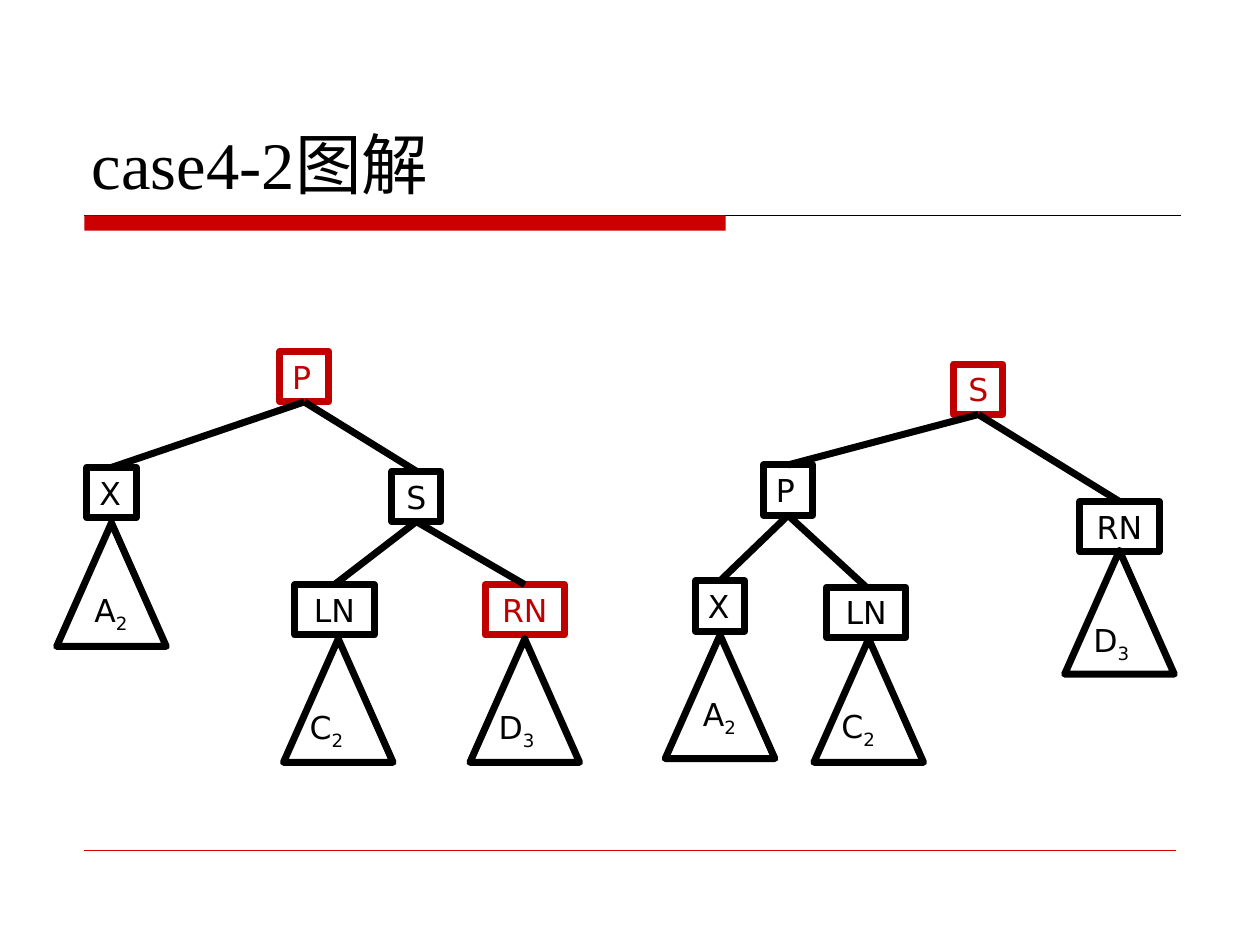
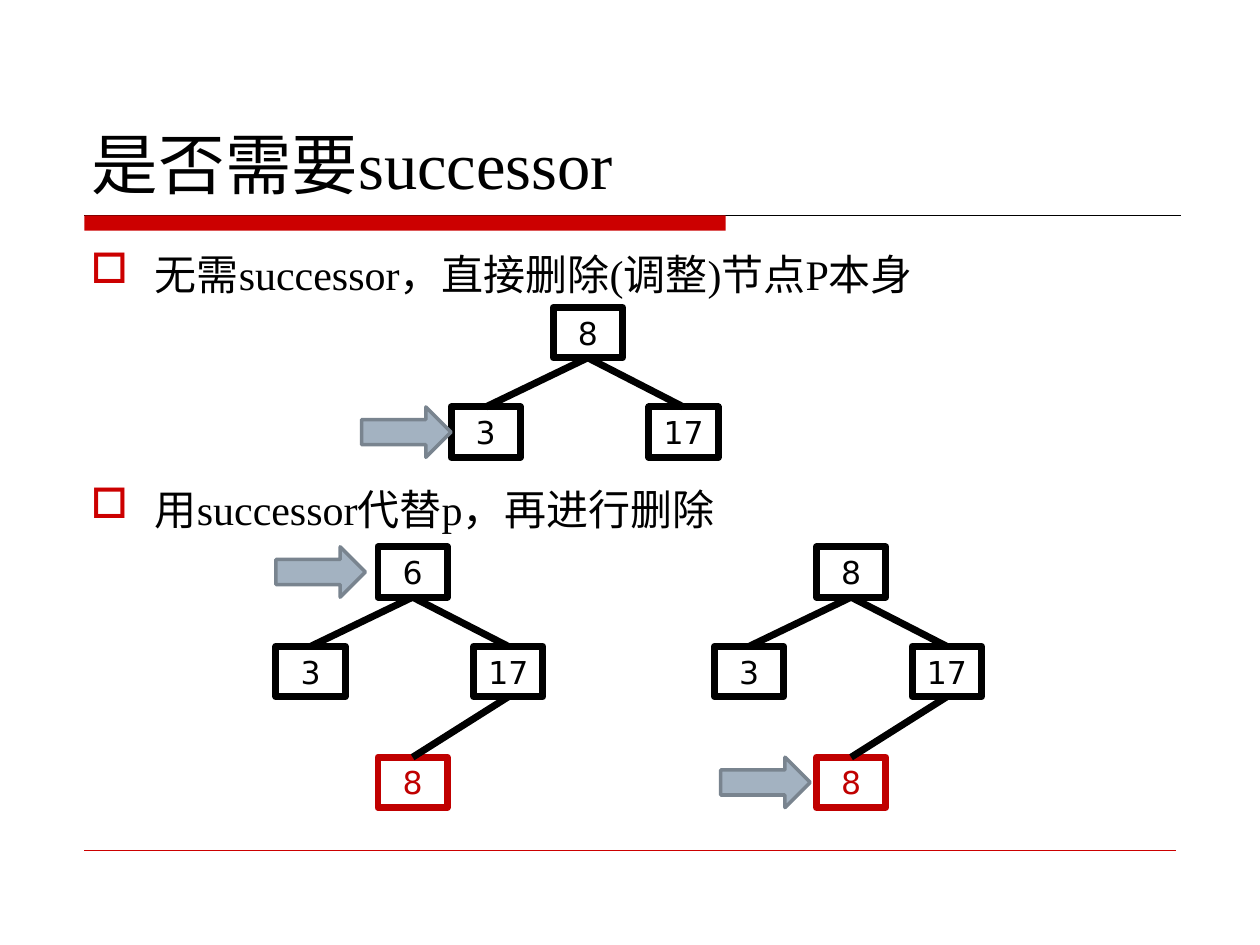
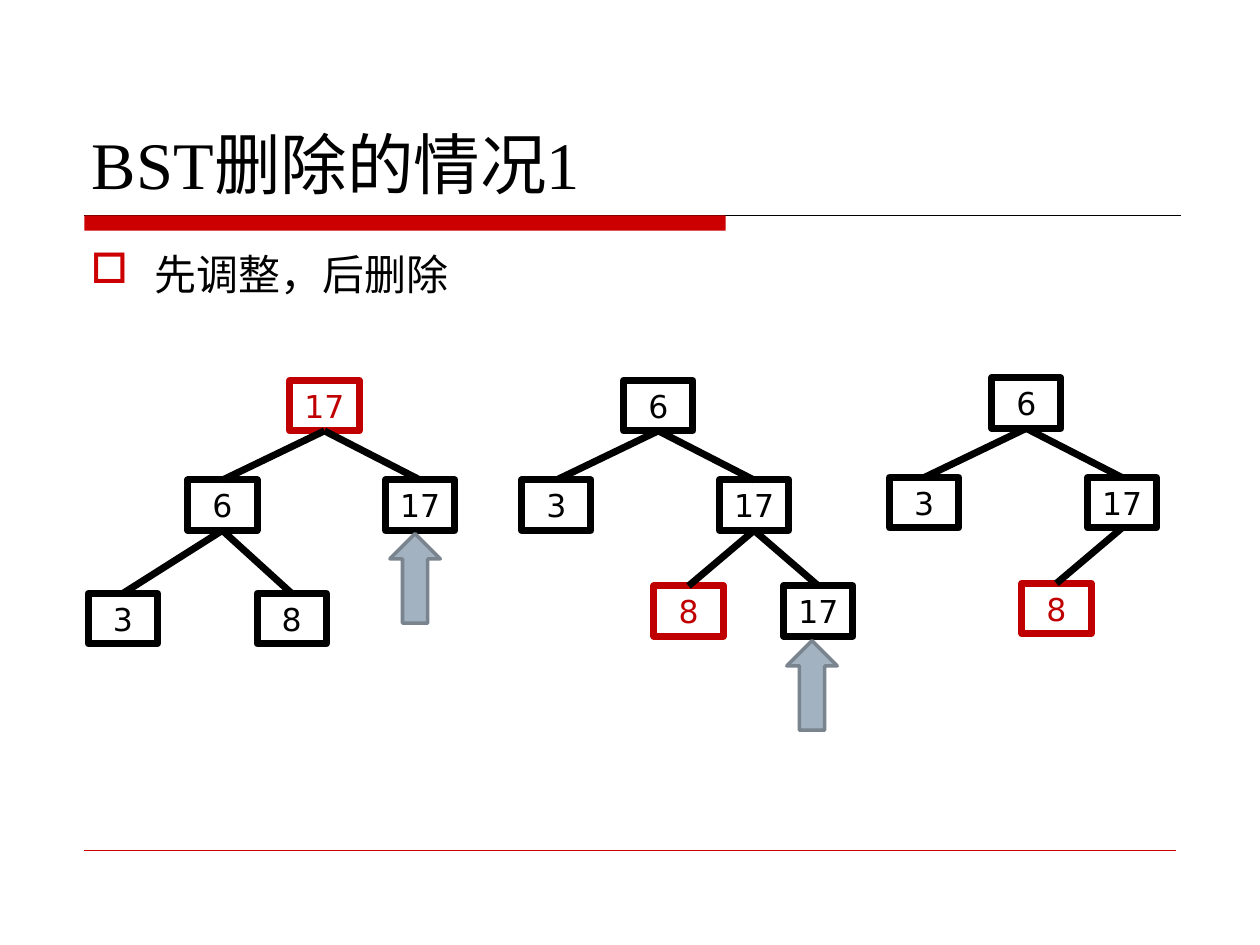
from lxml import etree
from pptx import Presentation
from pptx.dml.color import RGBColor
from pptx.enum.shapes import MSO_CONNECTOR, MSO_SHAPE
from pptx.enum.text import MSO_ANCHOR, MSO_AUTO_SIZE, PP_ALIGN
from pptx.oxml.ns import qn
from pptx.util import Inches, Pt

STRAIGHT = MSO_CONNECTOR.STRAIGHT
RECTANGLE = MSO_SHAPE.RECTANGLE
TRIANGLE = MSO_SHAPE.ISOSCELES_TRIANGLE
RIGHT_ARROW = MSO_SHAPE.RIGHT_ARROW
BOTTOM = MSO_ANCHOR.BOTTOM
NO_AUTOFIT = MSO_AUTO_SIZE.NONE
LEFT, CENTER = PP_ALIGN.LEFT, PP_ALIGN.CENTER

SERIF, SANS = "Times New Roman", "DejaVu Sans"
BLACK, RED, BAND_RED = "000000", "C00000", "CC0000"
ARROW_FILL, ARROW_EDGE = "A3B2C1", "79848F"

NODE_HEIGHT = 0.4
NUMBER_WIDTH = 0.55
LETTER_WIDTHS = {1: 0.39, 2: 0.63}
LEFT_ALIGNED = ("P", "X")
SUBTREE_SIZE = (0.87, 0.98)
LABEL_SIZE = (0.63, 0.4)
ARROW_SIZE = (0.71, 0.4)
BULLET_SIZE = (8.75, 0.5)
LEFT_CHILD = (-0.81, 0.79)
RIGHT_CHILD = (0.76, 0.79)

# nodes: label, (left, top) from the tree's origin, parent index, colour
BEFORE_ROTATION = [
    ("P", (2.22, 2.79), None, RED),
    ("X", (0.69, 3.71), 0, BLACK),
    ("S", (3.11, 3.74), 0, BLACK),
    ("LN", (2.34, 4.64), 2, BLACK),
    ("RN", (3.85, 4.64), 2, RED),
]
AFTER_ROTATION = [
    ("S", (7.57, 2.89), None, RED),
    ("P", (6.06, 3.69), 0, BLACK),
    ("RN", (8.57, 3.98), 0, BLACK),
    ("X", (5.52, 4.61), 1, BLACK),
    ("LN", (6.56, 4.66), 1, BLACK),
]


def search_tree(root, left, right, *lower, root_color=BLACK):
    return [
        (root, (0, 0), None, root_color),
        (left, LEFT_CHILD, 0, BLACK),
        (right, RIGHT_CHILD, 0, BLACK),
        *lower,
    ]


SUCCESSOR_LEAF = ("8", (0, 1.67), 2, RED)
RED_LEAF = ("8", (0.24, 1.63), 2, RED)

SLIDES = [
    {
        "title": "case4-2图解",
        "trees": [((0, 0), BEFORE_ROTATION), ((0, 0), AFTER_ROTATION)],
        "subtrees": [
            ("A", "2", (0.45, 4.15), (0.65, 4.64)),
            ("C", "2", (2.25, 5.07), (2.36, 5.57)),
            ("D", "3", (3.73, 5.07), (3.86, 5.57)),
            ("A", "2", (5.28, 5.04), (5.48, 5.47)),
            ("C", "2", (6.46, 5.07), (6.58, 5.56)),
            ("D", "3", (8.45, 4.37), (8.58, 4.88)),
        ],
    },
    {
        "title": "是否需要successor",
        "bullets": [
            ("无需successor，直接删除(调整)节点P本身", 1.92),
            ("用successor代替p，再进行删除", 3.79),
        ],
        "trees": [
            ((4.39, 2.44), search_tree("8", "3", "17")),
            ((3, 4.34), search_tree("6", "3", "17", SUCCESSOR_LEAF)),
            ((6.48, 4.34), search_tree("8", "3", "17", SUCCESSOR_LEAF)),
        ],
        "arrows": [(2.87, 3.23, 0), (2.19, 4.34, 0), (5.72, 6.01, 0)],
    },
    {
        "title": "BST删除的情况1",
        "bullets": [("先调整，后删除", 1.92)],
        "trees": [
            ((2.3, 3.02), search_tree(
                "17", "6", "17",
                ("3", (-1.6, 1.69), 1, BLACK),
                ("8", (-0.26, 1.69), 1, BLACK),
                root_color=RED)),
            ((4.95, 3.02), search_tree(
                "6", "3", "17", RED_LEAF, ("17", (1.27, 1.63), 2, BLACK))),
            ((7.87, 3), search_tree("6", "3", "17", RED_LEAF)),
        ],
        "arrows": [(2.94, 4.39, 270), (6.09, 5.24, 270)],
    },
]


def rgb(value):
    return RGBColor.from_string(value)


def box(position, size):
    return [Inches(length) for length in (*position, *size)]


def set_font(paragraph, name, size, color):
    paragraph.font.name = name
    paragraph.font.size = Pt(size)
    paragraph.font.color.rgb = rgb(color)


def add_outlined(slide, kind, position, size, color, weight=4):
    shape = slide.shapes.add_shape(kind, *box(position, size))
    shape.shadow.inherit = False
    shape.fill.background()
    shape.line.color.rgb = rgb(color)
    shape.line.width = Pt(weight)
    return shape


def add_line(slide, start, end, color, weight):
    line = slide.shapes.add_connector(STRAIGHT, *box(start, end))
    line.line.color.rgb = rgb(color)
    line.line.width = Pt(weight)
    etree.SubElement(line.element.spPr, qn("a:effectLst"))
    return line


def add_bands(slide, layout):
    rule = add_line(slide, (0.67, 1.71), (9.37, 1.71), BLACK, 0.75)
    band = slide.shapes.add_shape(RECTANGLE, *box((0.67, 1.71), (5.09, 0.12)))
    band.shadow.inherit = False
    band.fill.solid()
    band.fill.fore_color.rgb = rgb(BAND_RED)
    band.line.fill.background()
    footer = add_line(slide, (0.67, 6.75), (9.33, 6.75), BAND_RED, 0.25)
    for part in (rule, band, footer):
        layout.shapes.element.append(part.element)


def set_title(slide, text):
    title = slide.shapes.title
    title.left, title.top, title.width, title.height = box((0.63, 0.33), (8.75, 1.33))
    frame = title.text_frame
    frame.text = text
    frame.vertical_anchor = BOTTOM
    frame.auto_size = NO_AUTOFIT
    frame.paragraphs[0].alignment = LEFT
    set_font(frame.paragraphs[0], SERIF, 38, BLACK)


def add_bullet(slide, text, top):
    frame = slide.shapes.add_textbox(*box((0.62, top), BULLET_SIZE)).text_frame
    frame.word_wrap = True
    frame.text = text
    paragraph = frame.paragraphs[0]
    set_font(paragraph, SERIF, 24, BLACK)
    properties = paragraph._p.get_or_add_pPr()
    properties.set("marL", str(Inches(0.51)))
    properties.set("indent", str(-Inches(0.51)))
    bullet_color = etree.Element(qn("a:buClr"))
    etree.SubElement(bullet_color, qn("a:srgbClr"), val=BAND_RED)
    bullet = etree.Element(qn("a:buChar"), char="□")
    properties.insert(0, bullet_color)
    properties.insert(1, bullet)


def add_node(slide, label, position, color):
    width = LETTER_WIDTHS[len(label)] if label.isalpha() else NUMBER_WIDTH
    node = add_outlined(slide, RECTANGLE, position, (width, NODE_HEIGHT), color)
    node.text_frame.text = label
    paragraph = node.text_frame.paragraphs[0]
    paragraph.alignment = LEFT if label in LEFT_ALIGNED else CENTER
    set_font(paragraph, SANS, 18, color)
    return node


def add_tree(slide, origin, nodes):
    x, y = origin
    drawn = [add_node(slide, label, (x + dx, y + dy), color)
             for label, (dx, dy), _, color in nodes]
    for child, (_, _, parent, _) in zip(drawn, nodes):
        if parent is not None:
            edge = add_line(slide, origin, origin, BLACK, 4)
            edge.begin_connect(drawn[parent], 2)
            edge.end_connect(child, 0)


def add_subtree(slide, letter, height, position, label_position):
    add_outlined(slide, TRIANGLE, position, SUBTREE_SIZE, BLACK)
    frame = slide.shapes.add_textbox(*box(label_position, LABEL_SIZE)).text_frame
    frame.word_wrap = True
    paragraph = frame.paragraphs[0]
    set_font(paragraph, SANS, 18, BLACK)
    paragraph.add_run().text = letter
    subscript = paragraph.add_run()
    subscript.text = height
    subscript.font._element.set("baseline", "-25000")


def add_arrow(slide, left, top, rotation):
    arrow = add_outlined(slide, RIGHT_ARROW, (left, top), ARROW_SIZE, ARROW_EDGE, 2)
    arrow.fill.solid()
    arrow.fill.fore_color.rgb = rgb(ARROW_FILL)
    arrow.rotation = rotation


def main():
    deck = Presentation()
    deck.slide_width, deck.slide_height = Inches(10), Inches(7.5)
    layout = deck.slide_layouts[5]
    for number, content in enumerate(SLIDES):
        slide = deck.slides.add_slide(layout)
        if number == 0:
            add_bands(slide, layout)
        set_title(slide, content["title"])
        for bullet in content.get("bullets", []):
            add_bullet(slide, *bullet)
        for tree in content["trees"]:
            add_tree(slide, *tree)
        for subtree in content.get("subtrees", []):
            add_subtree(slide, *subtree)
        for arrow in content.get("arrows", []):
            add_arrow(slide, *arrow)
    deck.save("out.pptx")


if __name__ == "__main__":
    main()
